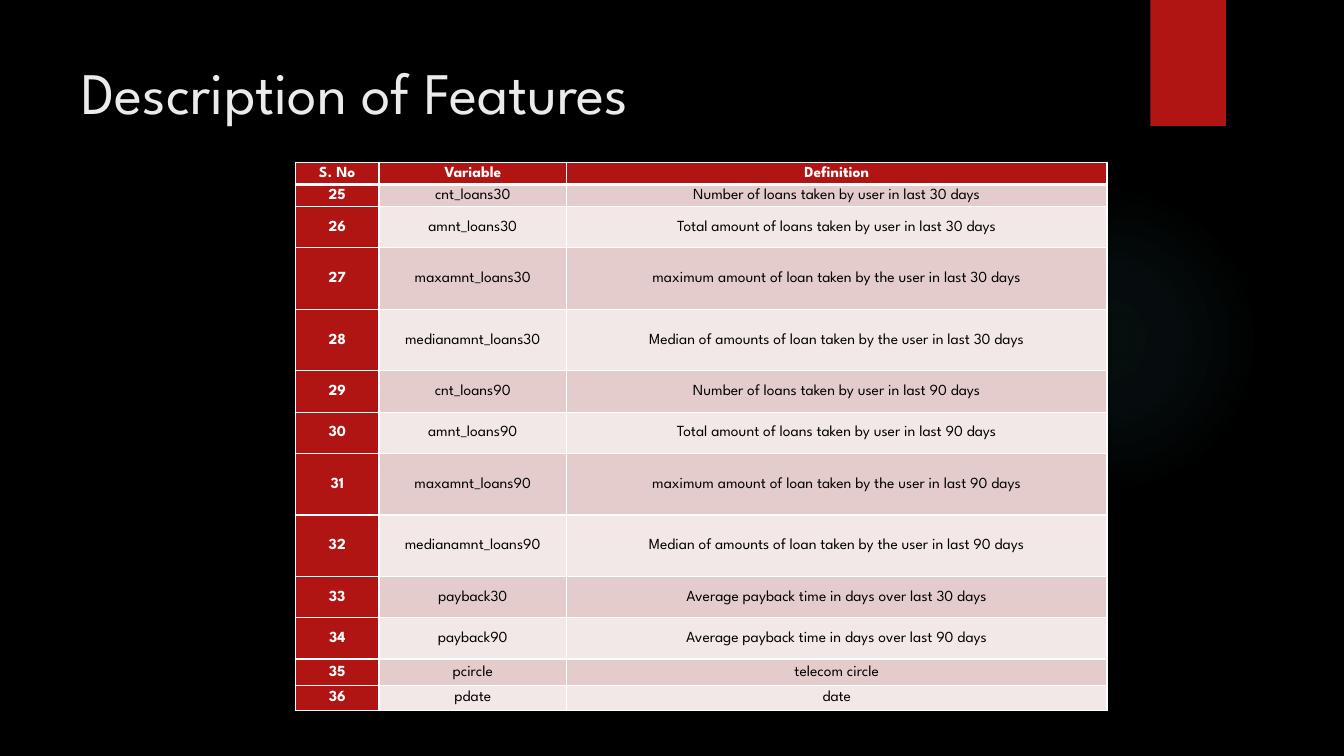
import pptx
import pptx.dml.color
import pptx.enum.shapes
import pptx.enum.text
import pptx.oxml
import pptx.oxml.ns
import pptx.util
from pptx.util import Inches

FONT = "League Spartan"
COLORS = {
    "background": "000000", "red": "B01513", "glow": "50B9C1",
    "title": "EBEBEB", "white": "FFFFFF", "text": "000000",
    "odd": "E4CCCC", "even": "F2E8E7",
}
NS = pptx.oxml.ns.nsdecls("a")
COL_WIDTHS = [0.83, 1.86, 5.36]
ROW_HEIGHTS = [0.22, 0.22] + [0.41, 0.61, 0.61, 0.41] * 2 + [0.41, 0.26, 0.25]
HEADER = ["S. No", "Variable", "Definition"]
FIRST_NUMBER = 25
LOAN_FEATURES = [
    ("cnt_loans", "Number of loans taken by user"),
    ("amnt_loans", "Total amount of loans taken by user"),
    ("maxamnt_loans", "maximum amount of loan taken by the user"),
    ("medianamnt_loans", "Median of amounts of loan taken by the user"),
]


def rgb(name):
    return pptx.dml.color.RGBColor.from_string(COLORS[name])


def feature_rows():
    features = [(f"{name}{days}", f"{text} in last {days} days")
                for days in (30, 90) for name, text in LOAN_FEATURES]
    features += [(f"payback{days}", f"Average payback time in days over last {days} days")
                 for days in (30, 90)]
    features += [("pcircle", "telecom circle"), ("pdate", "date")]
    return [[str(n), *feature] for n, feature in enumerate(features, FIRST_NUMBER)]


def add_run(p, text, size, color, bold=False):
    r = p.add_run()
    r.text = text
    r.font.name = FONT
    r.font.size = pptx.util.Pt(size)
    r.font.bold = bold
    r.font.color.rgb = rgb(color)


def add_plain_shape(s, kind, left, top, width, height):
    sp = s.shapes.add_shape(kind, Inches(left), Inches(top), Inches(width), Inches(height))
    sp.shadow.inherit = False
    sp.line.fill.background()
    return sp


def add_glow(s):
    sp = add_plain_shape(s, pptx.enum.shapes.MSO_SHAPE.OVAL, 9.41, 1.83, 3.08, 3.08)
    stops = "".join(
        f'<a:gs pos="{pos * 1000}"><a:srgbClr val="{COLORS["glow"]}">'
        f'<a:alpha val="{alpha * 1000}"/></a:srgbClr></a:gs>'
        for pos, alpha in ((0, 7), (36, 6), (69, 0)))
    gradient = pptx.oxml.parse_xml(
        f'<a:gradFill {NS} rotWithShape="1"><a:gsLst>{stops}</a:gsLst><a:path path="circle">'
        '<a:fillToRect l="50000" t="50000" r="50000" b="50000"/></a:path></a:gradFill>')
    sp.fill.background()
    spPr = sp._element.spPr
    spPr.replace(spPr.find(pptx.oxml.ns.qn("a:noFill")), gradient)


def add_tab(s):
    sp = add_plain_shape(s, pptx.enum.shapes.MSO_SHAPE.RECTANGLE, 11.41, 0, 0.75, 1.25)
    sp.fill.solid()
    sp.fill.fore_color.rgb = rgb("red")
    shadow = pptx.oxml.parse_xml(
        f'<a:outerShdw {NS} blurRad="{pptx.util.Pt(3)}" dist="{pptx.util.Pt(2)}" '
        'dir="5400000" rotWithShape="0"><a:srgbClr val="000000">'
        '<a:alpha val="45000"/></a:srgbClr></a:outerShdw>')
    sp._element.spPr.find(pptx.oxml.ns.qn("a:effectLst")).append(shadow)


def add_title(s, text):
    box = s.shapes.add_textbox(Inches(0.71), Inches(0.5), Inches(10.29), Inches(1.53))
    tf = box.text_frame
    tf.word_wrap = True
    tf.vertical_anchor = pptx.enum.text.MSO_ANCHOR.TOP
    add_run(tf.paragraphs[0], text, 42, "title")


def set_borders(cell, top, bottom):
    tcPr = cell._tc.get_or_add_tcPr()
    for side, width in (("L", 1), ("R", 1), ("T", top), ("B", bottom)):
        tcPr.append(pptx.oxml.parse_xml(
            f'<a:ln{side} {NS} w="{pptx.util.Pt(width)}"><a:solidFill>'
            f'<a:srgbClr val="{COLORS["white"]}"/></a:solidFill></a:ln{side}>'))


def fill_cell(cell, text, row, col):
    strong = row == 0 or col == 0
    # Borders come before the fill; the rule under the header is thicker
    set_borders(cell, 3 if row == 1 else 1, 3 if row == 0 else 1)
    cell.fill.solid()
    cell.fill.fore_color.rgb = rgb("red" if strong else "odd" if row % 2 else "even")
    cell.margin_left = cell.margin_right = cell.margin_top = Inches(0.01)
    cell.margin_bottom = 0
    cell.vertical_anchor = pptx.enum.text.MSO_ANCHOR.MIDDLE
    p = cell.text_frame.paragraphs[0]
    p.alignment = pptx.enum.text.PP_ALIGN.CENTER
    add_run(p, text, 11, "white" if strong else "text", strong)


def add_feature_table(s, rows):
    frame = s.shapes.add_table(len(rows), len(HEADER), Inches(2.93), Inches(1.61),
                               Inches(sum(COL_WIDTHS)), Inches(sum(ROW_HEIGHTS)))
    table = frame.table
    for column, width in zip(table.columns, COL_WIDTHS):
        column.width = Inches(width)
    for table_row, height in zip(table.rows, ROW_HEIGHTS):
        table_row.height = Inches(height)
    for row, texts in enumerate(rows):
        for col, text in enumerate(texts):
            fill_cell(table.cell(row, col), text, row, col)


def main():
    prs = pptx.Presentation()
    prs.slide_width, prs.slide_height = Inches(13.33), Inches(7.5)
    s = prs.slides.add_slide(prs.slide_layouts[6])

    # Background and decoration
    s.background.fill.solid()
    s.background.fill.fore_color.rgb = rgb("background")
    add_glow(s)
    add_tab(s)

    # Content
    add_title(s, "Description of Features")
    add_feature_table(s, [HEADER] + feature_rows())

    prs.save("out.pptx")


if __name__ == "__main__":
    main()
